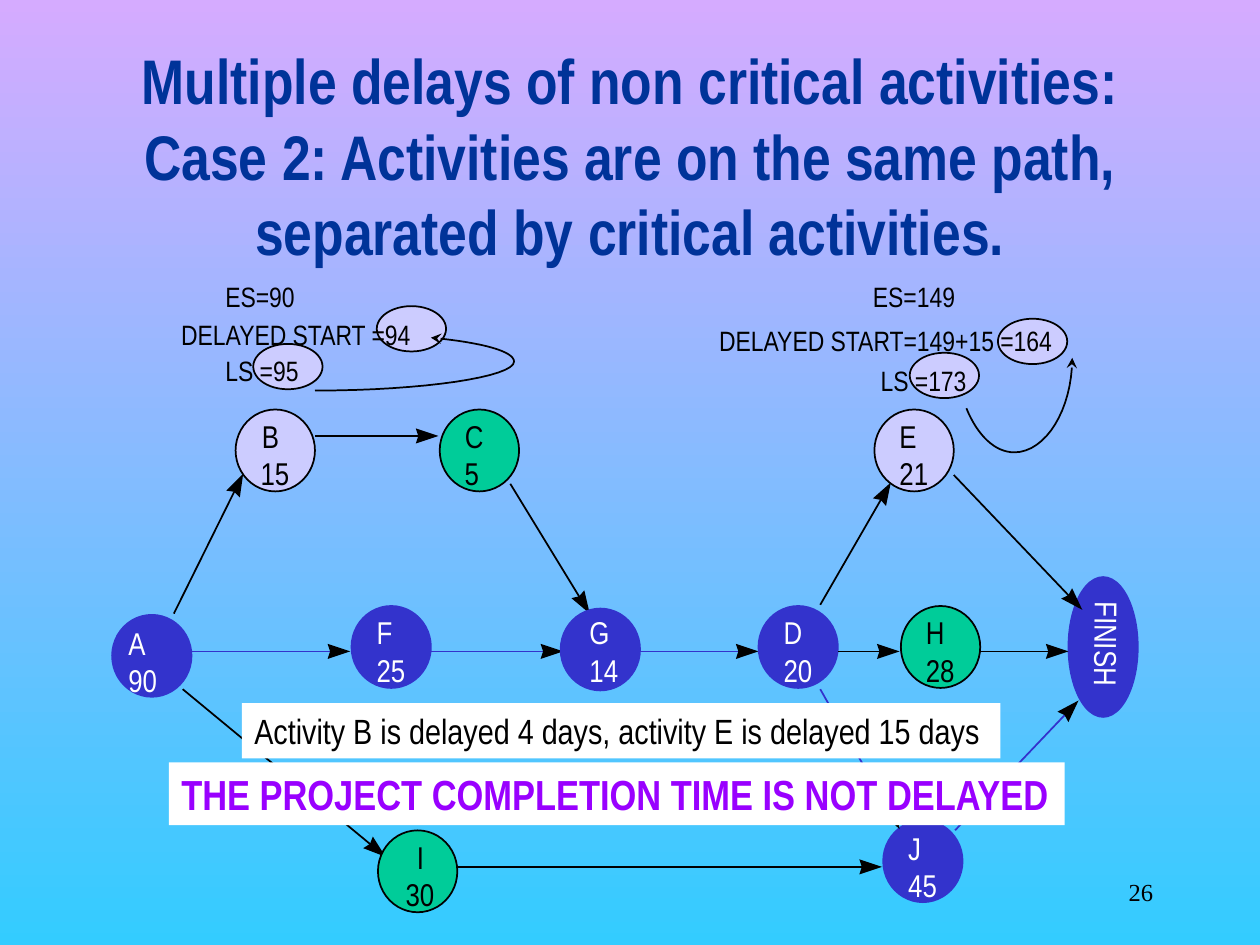
from dataclasses import dataclass
from math import hypot

from lxml.etree import SubElement
from pptx import Presentation
from pptx.dml.color import RGBColor
from pptx.enum.shapes import MSO_CONNECTOR, MSO_SHAPE
from pptx.enum.text import MSO_ANCHOR, MSO_AUTO_SIZE, PP_ALIGN
from pptx.oxml.ns import qn
from pptx.util import Inches, Pt

COLS, ROWS = 100, 75  # square grid cells


@dataclass(frozen=True)
class Theme:
    sky_top: str = "D5ABFF"
    sky_bottom: str = "33CCFF"
    critical: str = "3333CC"
    slack: str = "00CC99"
    delayed: str = "CCCCFF"
    ink: str = "000000"
    paper: str = "FFFFFF"
    heading: str = "003399"
    verdict: str = "9900FF"
    font: str = "Arial Narrow"
    number_font: str = "Times New Roman"
    title: int = 36
    verdict_size: int = 24
    remark: int = 20
    node: int = 18
    dates: int = 16
    page: int = 14


def rgb(value):
    return RGBColor.from_string(value)


class Board:
    """Draws on one slide; every length is in grid cells."""

    def __init__(self, prs, theme):
        self.t = theme
        self.s = prs.slides.add_slide(prs.slide_layouts[6])
        self.cell = prs.slide_width / COLS

    def emu(self, *cells):
        return [round(c * self.cell) for c in cells]

    def background(self):
        fill = self.s.background.fill
        fill.gradient()
        fill.gradient_angle = 270
        for stop, position, color in zip(fill.gradient_stops, (0, 1),
                                         (self.t.sky_top, self.t.sky_bottom)):
            stop.position = position
            stop.color.rgb = rgb(color)

    def text(self, box, text, size, color=None, font=None, bold=False, align=PP_ALIGN.LEFT,
             anchor=MSO_ANCHOR.TOP, wrap=False, grow=True, back=None, turn=0):
        sp = self.s.shapes.add_textbox(*self.emu(*box))
        sp.rotation = turn
        if back:
            sp.fill.solid()
            sp.fill.fore_color.rgb = rgb(back)
        tf = sp.text_frame
        tf.word_wrap = wrap
        tf.auto_size = MSO_AUTO_SIZE.SHAPE_TO_FIT_TEXT if grow else MSO_AUTO_SIZE.NONE
        tf.vertical_anchor = anchor
        p = tf.paragraphs[0]
        p.text = text
        p.alignment = align
        p.font.name = font or self.t.font
        p.font.size = Pt(size)
        p.font.bold = bold
        p.font.color.rgb = rgb(color or self.t.ink)

    def ellipse(self, box, fill, line=None):
        sp = self.s.shapes.add_shape(MSO_SHAPE.OVAL, *self.emu(*box))
        sp.shadow.inherit = False
        sp.fill.solid()
        sp.fill.fore_color.rgb = rgb(fill)
        sp.line.color.rgb = rgb(line or self.t.ink)
        sp.line.width = Pt(1)

    def freeform(self, points, close):
        builder = self.s.shapes.build_freeform(*self.emu(*points[0]), scale=1.0)
        builder.add_line_segments([self.emu(*pt) for pt in points[1:]], close=close)
        sp = builder.convert_to_shape()
        sp.shadow.inherit = False
        return sp

    def arrow(self, start, tip, color):
        """A line in the given colour that ends in a notched black head."""
        length = hypot(tip[0] - start[0], tip[1] - start[1])
        ux, uy = (tip[0] - start[0]) / length, (tip[1] - start[1]) / length

        def behind(back, side=0):
            return tip[0] - back * ux - side * uy, tip[1] - back * uy + side * ux

        line = self.s.shapes.add_connector(
            MSO_CONNECTOR.STRAIGHT, *self.emu(*start, *behind(1.3)))
        line.line.color.rgb = rgb(color)
        line.line.width = Pt(1)
        SubElement(line.element.spPr, qn("a:effectLst"))
        head = self.freeform([tip, behind(1.8, 0.6), behind(1.6), behind(1.8, -0.6)], True)
        head.fill.solid()
        head.fill.fore_color.rgb = rgb(self.t.ink)
        head.line.fill.background()

    def curve(self, start, *bends, steps=16):
        """Cubic bends, each two controls and an end, with the arrowhead at the start."""
        points = [start]
        for c1, c2, end in bends:
            p0 = points[-1]
            for i in range(1, steps + 1):
                u = i / steps
                v = 1 - u
                points.append(tuple(
                    v**3 * a + 3 * v * v * u * b + 3 * v * u * u * c + u**3 * d
                    for a, b, c, d in zip(p0, c1, c2, end)))
        sp = self.freeform(points, False)
        sp.fill.background()
        sp.line.color.rgb = rgb(self.t.ink)
        sp.line.width = Pt(1)
        SubElement(sp.element.spPr.find(qn("a:ln")), qn("a:headEnd"), type="stealth")


def build():
    t = Theme()
    prs = Presentation()
    prs.slide_width, prs.slide_height = Inches(10), Inches(7.5)
    board = Board(prs, t)
    board.background()
    board.text((71.7, 68.3, 20.8, 5), "26", t.page, font=t.number_font,
               align=PP_ALIGN.RIGHT, anchor=MSO_ANCHOR.MIDDLE, grow=False)

    # name, days, kind, left, top, name offset and width, days offset, text drop
    nodes = [
        ("A", "90", t.critical, 8.9, 48.8, 0.3, 3.4, 0.3, 0.2),
        ("B", "15", t.delayed, 18.7, 32.5, 1.1, 3.4, 1, 0.1),
        ("C", "5", t.slack, 34.9, 32.5, 1, 3.5, 1, 0.1),
        ("F", "25", t.critical, 27.9, 48.1, 1, 3.3, 1, 0.1),
        ("I", "30", t.slack, 30, 65.9, 2.1, 2.6, 1.2, 0.1),
        ("G", "14", t.critical, 44.5, 48.3, 1.3, 3.6, 1.3, -0.1),
        ("D", "20", t.critical, 60.2, 48.1, 1, 3.5, 1, 0.1),
        ("E", "21", t.delayed, 69.4, 32.5, 1, 3.4, 1, 0.1),
        ("H", "28", t.slack, 71.5, 48.1, 1, 3.5, 1, 0.1),
        ("J", "45", t.critical, 70.1, 65.1, 1, 3, 1, 0.2),
    ]
    axis = 51.7
    arrows_below = [
        ((13.8, 48.7), (19.3, 37.6), t.ink),
        ((25, 34.6), (34.8, 34.6), t.ink),
        ((40.5, 38.4), (46.8, 48.7), t.ink),
        ((15.1, axis), (27.8, axis), t.critical),
        ((34.1, axis), (44.7, axis), t.critical),
        ((14.5, 54.7), (30.6, 68), t.ink),
        ((36.2, 68.8), (70, 68.8), t.ink),
        ((49.6, axis), (60.2, axis), t.critical),
    ]
    arrows_above = [
        ((65.1, 48), (70.7, 38.3), t.ink),
        ((65.1, 54.7), (71.4, 65.8), t.critical),
        ((66.5, axis), (71.4, axis), t.ink),
        ((77.7, axis), (84.8, axis), t.ink),
        ((75.8, 65.9), (85.6, 55.6), t.critical),
        ((75.7, 37.7), (85.9, 48.4), t.ink),
    ]
    for arrow in arrows_below:
        board.arrow(*arrow)
    for _, _, kind, x, y, *_ in nodes:
        board.ellipse((x, y, 6.3, 6.5), kind, kind if kind == t.critical else t.ink)
    board.ellipse((84.8, 45.8, 5.5, 11.1), t.critical, t.critical)
    for arrow in arrows_above:
        board.arrow(*arrow)
    for name, days, kind, x, y, name_dx, name_w, days_dx, drop in nodes:
        color = t.paper if kind == t.critical else t.ink
        board.text((x + name_dx, y + drop, name_w, 4), name, t.node, color)
        board.text((x + days_dx, y + drop + 2.95, 2.05 + 1.13 * len(days), 4),
                   days, t.node, color)
    board.text((83.5, 49.1, 8.7, 4), "FINISH", t.node, t.paper, turn=90.5)

    for x, y in ((72.2, 28), (79.2, 25.3), (29.9, 24.3), (20.1, 27.3)):
        board.ellipse((x, y, 5.5, 3.6), t.delayed)
    for x, y, w, dates in (
        (68.3, 21.7, 8.5, "ES=149"),
        (68.9, 28.4, 8.8, "LS =173"),
        (56.1, 25.2, 28.7, "DELAYED START=149+15 =164"),
        (16.9, 21.7, 7.5, "ES=90"),
        (13.4, 24.7, 20.6, "DELAYED START =94"),
        (16.9, 27.6, 7.8, "LS =95"),
    ):
        board.text((x, y, w, 3.7), dates, t.dates)

    board.text((13.4, 60.5, 71.1, 5), "THE PROJECT COMPLETION TIME IS NOT DELAYED",
               t.verdict_size, t.verdict, bold=True, back=t.paper)
    board.curve((85.1, 28.4), ((85.1, 32.5), (83, 35.9), (80.5, 35.9)),
                ((79, 35.9), (77.6, 34.6), (76.7, 32.4)))
    board.curve((34.2, 26.8), ((38.4, 27.2), (40.8, 27.9), (40.8, 28.7)),
                ((40.8, 29.9), (33.7, 31), (25, 31)))
    board.text((7.5, 1.7, 85, 21.2),
               "Multiple delays of non critical activities:\v"
               "Case 2: Activities are on the same path, separated by critical activities.",
               t.title, t.heading, bold=True, align=PP_ALIGN.CENTER,
               anchor=MSO_ANCHOR.MIDDLE, wrap=True, grow=False)
    board.text((19.2, 55.8, 60.2, 4.4),
               "Activity B is delayed 4 days, activity E is delayed 15 days",
               t.remark, wrap=True, back=t.paper)
    prs.save("out.pptx")


if __name__ == "__main__":
    build()
